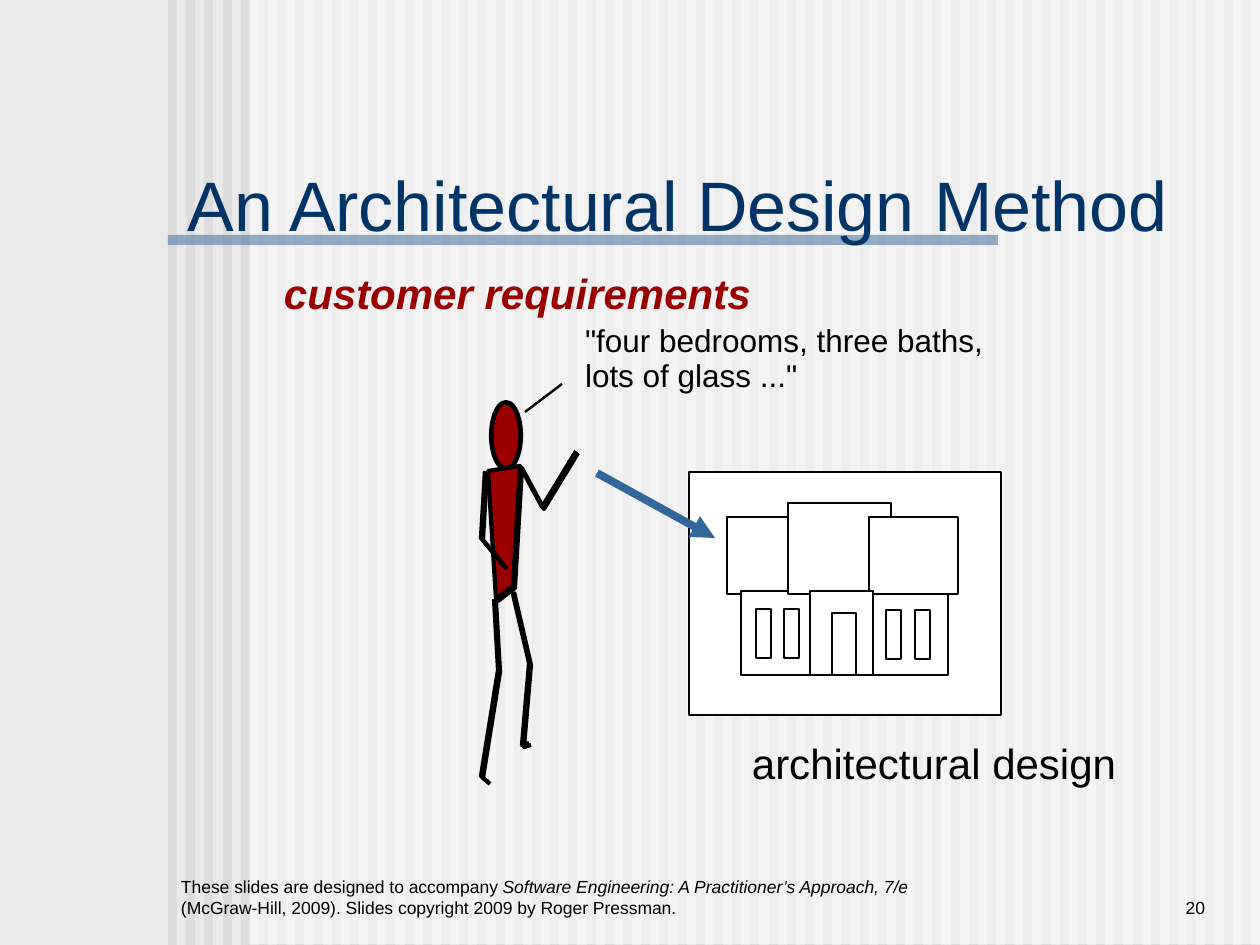
from dataclasses import dataclass

from pptx import Presentation
from pptx.dml.color import RGBColor
from pptx.enum.shapes import MSO_CONNECTOR, MSO_SHAPE
from pptx.enum.text import MSO_ANCHOR, PP_ALIGN
from pptx.oxml.ns import qn
from pptx.util import Pt
from lxml.etree import SubElement

SCALE = 914400 / 126  # EMU per px
WIDTH, HEIGHT = 1260, 945


@dataclass(frozen=True)
class Theme:
    font: str = "Arial"
    backdrop: str = "EAEAEA"
    stripe: str = "DDDDDD"
    white: str = "FFFFFF"
    ink: str = "000000"
    title: str = "003366"
    accent: str = "336699"
    red: str = "9A0000"
    title_size: int = 40
    label_size: int = 24
    quote_size: int = 18
    footer_size: int = 10
    thin: float = 1.38
    limb: float = 2.38
    arrow: float = 4.5


THEME = Theme()


def emu(px):
    return round(px * SCALE)


def color(value):
    return RGBColor.from_string(value)


def paint(shape, fill=None, line=None, weight=THEME.thin, alpha=None):
    shape.shadow.inherit = False
    if fill:
        shape.fill.solid()
        shape.fill.fore_color.rgb = color(fill)
        if alpha:
            tone = shape.fill._xPr.find(qn("a:solidFill"))[0]
            SubElement(tone, qn("a:alpha"), val=str(alpha * 1000))
    else:
        shape.fill.background()
    if line:
        shape.line.color.rgb = color(line)
        shape.line.width = Pt(weight)
    else:
        shape.line.fill.background()


def add_block(page, box, kind=MSO_SHAPE.RECTANGLE, **style):
    shape = page.shapes.add_shape(kind, *map(emu, box))
    paint(shape, **style)


def add_outline(page, origin, points, **style):
    left, top = origin
    placed = [(left + x, top + y) for x, y in points]
    builder = page.shapes.build_freeform(*placed[0], scale=SCALE)
    builder.add_line_segments(placed[1:], close=False)
    paint(builder.convert_to_shape(), line=THEME.ink, weight=THEME.limb, **style)


def add_line(page, start, end, tone, weight, arrow=False):
    line = page.shapes.add_connector(MSO_CONNECTOR.STRAIGHT, *map(emu, start + end))
    line.line.color.rgb = color(tone)
    line.line.width = Pt(weight)
    if arrow:
        SubElement(line.line._get_or_add_ln(), qn("a:tailEnd"), type="triangle")
    SubElement(line._element.spPr, qn("a:effectLst"))


def add_text(page, box, spans, size, tone=THEME.ink, bold=False, italic=False,
             align=PP_ALIGN.LEFT, anchor=MSO_ANCHOR.TOP, insets=(0, 0), spacing=None):
    """Place one paragraph; spans is a string or a list of (text, italic)."""
    frame = page.shapes.add_textbox(*map(emu, box)).text_frame
    frame.word_wrap = True
    frame.vertical_anchor = anchor
    frame.margin_left = frame.margin_right = emu(insets[0])
    frame.margin_top = frame.margin_bottom = emu(insets[1])
    para = frame.paragraphs[0]
    para.alignment = align
    if spacing:
        para.line_spacing = spacing
    for text, slanted in [(spans, italic)] if isinstance(spans, str) else spans:
        span = para.add_run()
        span.text = text
        span.font.name = THEME.font
        span.font.size = Pt(size)
        span.font.color.rgb = color(tone)
        span.font.bold = bold
        span.font.italic = slanted


def draw_backdrop(page, left):
    page.background.fill.solid()
    page.background.fill.fore_color.rgb = color(THEME.backdrop)
    for index in range(60):
        add_block(page, (left + round(index * 18.2), 0, 9, HEIGHT), fill=THEME.stripe)
    # Veil over the stripes, then the rule under the title
    add_block(page, (250, 0, WIDTH - 250, HEIGHT - 1), fill=THEME.white, alpha=50)
    add_block(page, (left, 235, 830, 10), fill=THEME.accent, alpha=50)


def draw_footer(page, left, top):
    style = dict(size=THEME.footer_size, anchor=MSO_ANCHOR.BOTTOM, insets=(13, 6))
    add_text(page, (left, top, 756, 63), [
        ("These slides are designed to accompany ", False),
        ("Software Engineering: A Practitioner’s Approach, 7/e ", True),
        ("(McGraw-Hill, 2009). Slides copyright 2009 by Roger Pressman.", False),
    ], **style)
    add_text(page, (left + 871, top, 179, 63), "20", align=PP_ALIGN.RIGHT, **style)


def draw_customer(page, left, top):
    # Head: filled oval with a heavier ring
    add_block(page, (left + 12, top + 2, 26, 63), MSO_SHAPE.OVAL,
              fill=THEME.red, line=THEME.ink, weight=0.75)
    add_block(page, (left + 10, top, 30, 67), MSO_SHAPE.OVAL,
              line=THEME.ink, weight=THEME.limb)
    # Each body part is drawn twice, 2 px apart, for a thick stroke
    torso = [(7, 69), (39, 64), (32, 184), (15, 197), (7, 69)]
    right_arm = [(39, 64), (61, 105), (95, 49)]
    left_arm = [(4, 69), (0, 136), (24, 165)]
    right_leg = [(31, 188), (48, 261), (41, 343), (48, 341)]
    left_leg = [(13, 197), (17, 268), (0, 374), (7, 380)]
    for part in (torso, right_arm, left_arm, right_leg, left_leg):
        add_outline(page, (left + 2, top + 2), part)
        add_outline(page, (left, top), part, fill=THEME.red if part is torso else None)
    # Speech line
    add_line(page, (left + 44, top + 10), (left + 81, top - 18), THEME.ink, THEME.thin)


def draw_house(page, left, top):
    paper = (0, 0, 312, 243)
    walls = [(38, 45, 63, 77), (52, 119, 207, 84), (99, 31, 103, 91),
             (180, 45, 89, 77), (121, 119, 63, 84)]
    windows = [(x, y, 15, 49) for x, y in ((67, 137), (95, 137), (197, 138), (226, 138))]
    door = (143, 141, 24, 62)
    for x, y, width, height in [paper, *walls, *windows, door]:
        add_block(page, (left + x, top + y, width, height),
                  fill=THEME.white, line=THEME.ink)


def draw_labels(page):
    # Boxes are a little wider than their text so that each stays on one line
    add_text(page, (179, 158, 1020, 91), "An Architectural Design Method",
             size=THEME.title_size, tone=THEME.title, insets=(9, 4))
    for row, text in enumerate(('"four bedrooms, three baths,', 'lots of glass ..."')):
        add_text(page, (585, 325 + row * 35, 412, 34), text,
                 size=THEME.quote_size, spacing=0.9)
    add_text(page, (284, 273, 480, 45), "customer requirements", size=THEME.label_size,
             tone=THEME.red, bold=True, italic=True, spacing=0.9)
    add_text(page, (752, 743, 378, 45), "architectural design",
             size=THEME.label_size, spacing=0.9)


def main():
    deck = Presentation()
    deck.slide_width, deck.slide_height = emu(WIDTH), emu(HEIGHT)
    page = deck.slides.add_slide(deck.slide_layouts[6])
    draw_backdrop(page, 168)
    draw_footer(page, 168, 861)
    draw_labels(page)
    draw_customer(page, 481, 402)
    draw_house(page, 689, 472)
    # Arrow from customer to design
    add_line(page, (597, 473), (715, 538), THEME.accent, THEME.arrow, arrow=True)
    deck.save("out.pptx")


if __name__ == "__main__":
    main()
